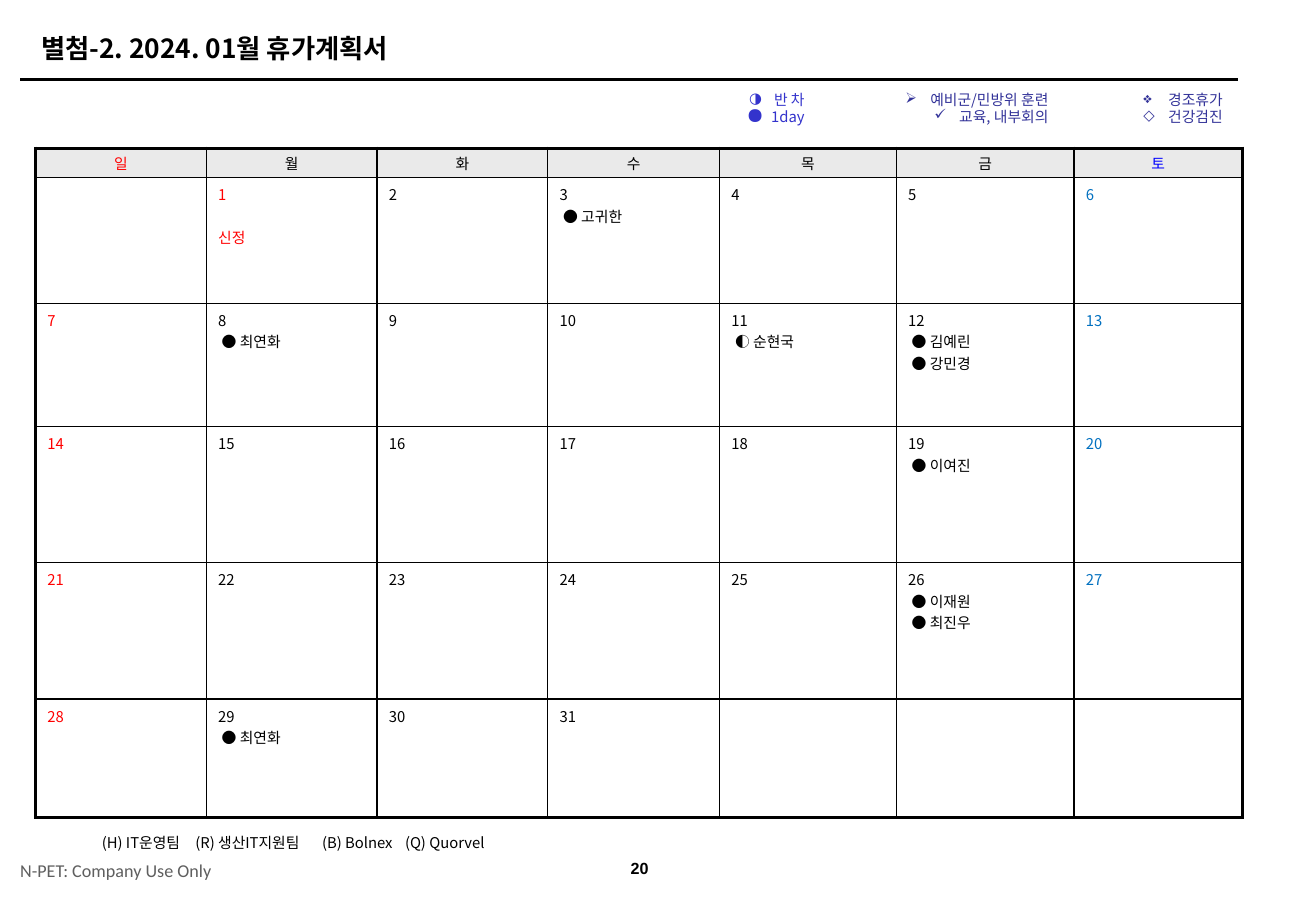
from lxml import etree
from pptx import Presentation
from pptx import util as u
from pptx.dml.color import RGBColor
from pptx.enum import shapes, text
from pptx.oxml import ns

COLORS = {
    "black": "000000", "white": "FFFFFF", "header": "EAEAEA", "gray": "5F5F5F",
    "red": "FF0000", "saturday": "0000FF", "weekend": "0070C0",
    "blue": "3333CC", "navy": "333399",
}
KOREAN = "Noto Sans CJK KR"
WIDTH, HEIGHT = u.Inches(11.11), u.Inches(7.57)
INSETS = (0.1, 0.05, 0.1, 0.05)

WEEKDAYS = "일월화수목금토"
COLUMNS = [1.44, 1.44, 1.44, 1.45, 1.49, 1.5, 1.42]
ROWS = [0.25, 1.06, 1.04, 1.15, 1.15, 1]
FIRST_COLUMN, LAST_DAY = 1, 31
HOLIDAYS = {1: "신정"}
LEAVE = {
    3: ["● 고귀한"], 8: ["● 최연화"], 11: ["◐ 순현국"],
    12: ["● 김예린", "● 강민경"], 19: ["● 이여진"],
    26: ["● 이재원", "● 최진우"], 29: ["● 최연화"],
}
LEGENDS = [
    ((55.54, 9.6, 6.48, 5.2), "blue", [("◑", "반 차", 100), ("●", "1day", 150)], 0.1),
    ((66.7, 9.6, 14.22, 5.2), "navy",
     [("➢", "예비군/민방위 훈련", 100), ("✓", "교육, 내부회의", 100)], 0.14),
    ((77.32, 9.6, 16.47, 5.2), "navy",
     [("❖", "경조휴가", 100), ("◇", "건강검진", 100)], 0.1),
]
TEAMS = ["(H) IT운영팀", "(R) 생산IT지원팀", "(B) Bolnex", "(Q) Quorvel"]
TEAM_TABS = [0.79, 1.86, 2.56]


def color(name):
    return RGBColor.from_string(COLORS[name])


def place(left, top, width, height):
    """Turn percentages of the slide into lengths."""
    return (int(WIDTH * left / 100), int(HEIGHT * top / 100),
            int(WIDTH * width / 100), int(HEIGHT * height / 100))


def add_xml(parent, tag, **attributes):
    values = {key: str(value) for key, value in attributes.items()}
    return etree.SubElement(parent, ns.qn(tag), values)


def set_insets(target, insets):
    for side, inset in zip(("left", "top", "right", "bottom"), insets):
        setattr(target, f"margin_{side}", u.Inches(inset))


def write(paragraph, words, tone="black", size=9, name=KOREAN, bold=False, **formats):
    run = paragraph.add_run()
    run.text = words
    run.font.color.rgb = color(tone)
    for key, value in {"size": u.Pt(size), "name": name, "bold": bold}.items():
        setattr(run.font, key, value)
    add_xml(run.font._element, "a:ea", typeface=name)
    for key, value in formats.items():
        setattr(paragraph, key, value)


def add_text_box(slide, box, insets=INSETS, anchor=text.MSO_ANCHOR.TOP, wrap=True):
    frame = slide.shapes.add_textbox(*place(*box)).text_frame
    frame.word_wrap = wrap
    frame.vertical_anchor = anchor
    set_insets(frame, insets)
    return frame


def add_heading(slide, box, rule_box):
    title = slide.shapes.title
    title.left, title.top, title.width, title.height = place(*box)
    frame = title.text_frame
    frame.auto_size = text.MSO_AUTO_SIZE.NONE
    frame.vertical_anchor = text.MSO_ANCHOR.MIDDLE
    set_insets(frame, INSETS)
    write(frame.paragraphs[0], "별첨-2. 2024. 01월 휴가계획서", size=16, bold=True,
          alignment=text.PP_ALIGN.LEFT)

    left, top, width, height = place(*rule_box)
    rule = slide.shapes.add_connector(
        shapes.MSO_CONNECTOR.STRAIGHT, left, top, left + width, top + height)
    rule.line.color.rgb = color("black")
    rule.line.width = u.Pt(1.5)
    add_xml(rule._element.spPr, "a:effectLst")


def add_legend(slide, box, tone, entries, right_inset):
    frame = add_text_box(slide, box, (0.1, 0.05, right_inset, 0.05), wrap=box[2] > 10)
    for index, (bullet, label, bullet_size) in enumerate(entries):
        paragraph = frame.add_paragraph() if index else frame.paragraphs[0]
        properties = paragraph._p.get_or_add_pPr()
        indent = u.Inches(0.21)
        properties.set("marL", str(indent))
        properties.set("indent", str(-indent))
        add_xml(add_xml(properties, "a:buClr"), "a:srgbClr", val=COLORS[tone])
        add_xml(properties, "a:buSzPct", val=bullet_size * 1000)
        add_xml(properties, "a:buChar", char=bullet)
        write(paragraph, label, tone, alignment=text.PP_ALIGN.RIGHT, line_spacing=0.95)


def format_cell(cell, row, column, fill):
    """Border the cell, thicker on the calendar's outer edge, and fill it."""
    outer = {"L": column == 0, "R": column == len(COLUMNS) - 1,
             "T": row == 0, "B": row == len(ROWS) - 1}
    properties = cell._tc.get_or_add_tcPr()
    for side, is_outer in outer.items():
        border = add_xml(properties, f"a:ln{side}", w=u.Pt(2 if is_outer else 1))
        add_xml(add_xml(border, "a:solidFill"), "a:srgbClr", val=COLORS["black"])
    cell.fill.solid()
    cell.fill.fore_color.rgb = color(fill)


def write_day(cell, day, column):
    tone = {0: "red", 6: "weekend"}.get(column, "black")
    if day in HOLIDAYS:
        tone = "red"
    frame = cell.text_frame
    write(frame.paragraphs[0], str(day), tone)
    if day in HOLIDAYS:
        write(frame.add_paragraph(), HOLIDAYS[day], tone, space_before=u.Pt(13))
    for entry in LEAVE.get(day, []):
        paragraph = frame.add_paragraph()
        paragraph._p.get_or_add_pPr().set("marL", str(u.Inches(0.03)))
        write(paragraph, entry)


def add_calendar(slide, box):
    left, top, width, height = place(*box)
    table = slide.shapes.add_table(
        len(ROWS), len(COLUMNS), left, top, width, height).table
    table.first_row = table.horz_banding = False
    for column, share in zip(table.columns, COLUMNS):
        column.width = int(width * share / sum(COLUMNS))
    for row, share in zip(table.rows, ROWS):
        row.height = int(height * share / sum(ROWS))

    for row in range(len(ROWS)):
        for column, weekday in enumerate(WEEKDAYS):
            cell = table.cell(row, column)
            format_cell(cell, row, column, "white" if row else "header")
            day = (row - 1) * len(COLUMNS) + column - FIRST_COLUMN + 1
            if row == 0:
                set_insets(cell, (0.1, 0.03, 0.1, 0.03))
                cell.vertical_anchor = text.MSO_ANCHOR.MIDDLE
                tone = {0: "red", 6: "saturday"}.get(column, "black")
                write(cell.text_frame.paragraphs[0], weekday, tone,
                      alignment=text.PP_ALIGN.CENTER)
            elif 1 <= day <= LAST_DAY:
                set_insets(cell, INSETS)
                write_day(cell, day, column)


def add_teams(slide, box):
    frame = add_text_box(slide, box, (0.07, 0, 0, 0), text.MSO_ANCHOR.MIDDLE)
    paragraph = frame.paragraphs[0]
    tabs = add_xml(paragraph._p.get_or_add_pPr(), "a:tabLst")
    for position in TEAM_TABS:
        add_xml(tabs, "a:tab", pos=u.Inches(position), algn="l")
    write(paragraph, "\t".join(TEAMS), line_spacing=0.95)


def add_footer(slide, mark_box, number_box):
    middle = text.MSO_ANCHOR.MIDDLE
    mark = add_text_box(slide, mark_box, (0, 0, 0, 0), middle)
    write(mark.paragraphs[0], "N-PET: Company Use Only", "gray", 11, "Calibri")
    number = add_text_box(slide, number_box, anchor=middle)
    write(number.paragraphs[0], "20", size=9.8, name="Arial", bold=True,
          alignment=text.PP_ALIGN.CENTER)


def main():
    presentation = Presentation()
    presentation.slide_width, presentation.slide_height = WIDTH, HEIGHT
    slide = presentation.slides.add_slide(presentation.slide_layouts[5])
    add_heading(slide, (2.25, 2.91, 89.11, 4.89), (1.53, 8.85, 92.53, 0))
    for legend in LEGENDS:
        add_legend(slide, *legend)
    add_calendar(slide, (2.7, 16.51, 91.72, 74.64))
    add_teams(slide, (7.11, 92.47, 32, 3.17))
    add_footer(slide, (1.53, 94.98, 17, 4.1), (46.17, 94.72, 4.86, 4.1))
    presentation.save("out.pptx")


if __name__ == "__main__":
    main()
